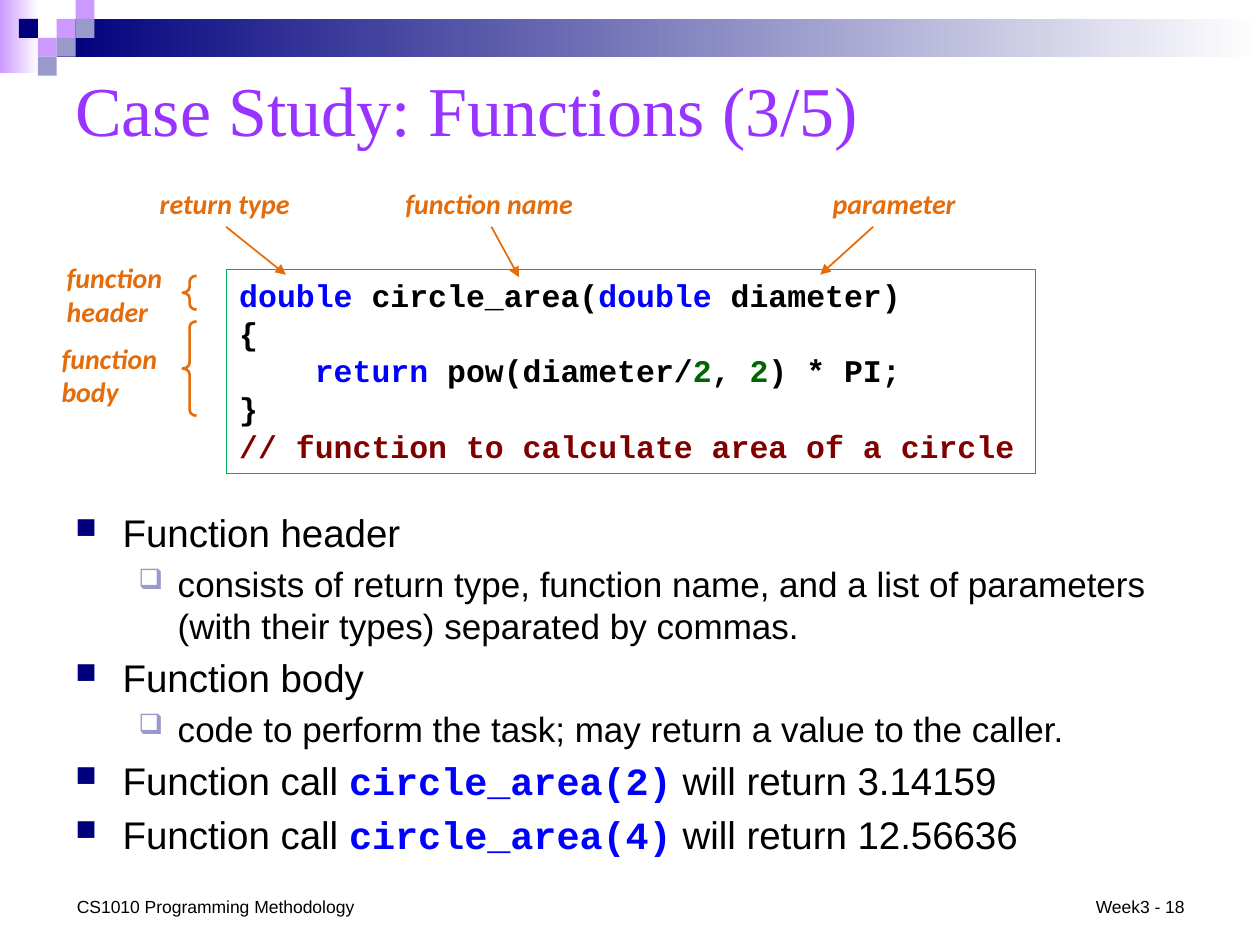
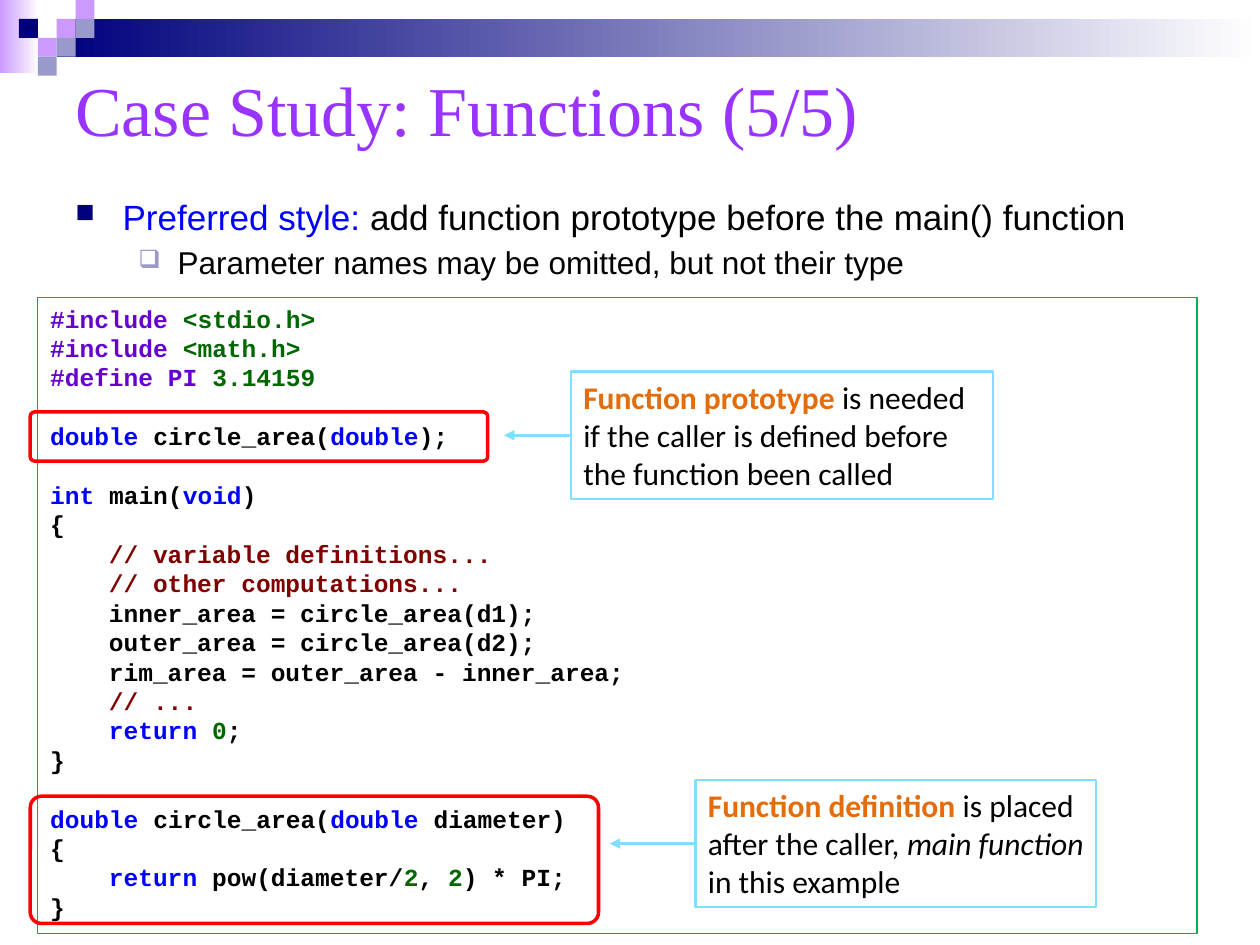
from lxml import etree
from pptx import Presentation
from pptx.dml.color import RGBColor
from pptx.enum import shapes, text
from pptx.oxml import ns
from pptx.util import Pt

BLACK = RGBColor(0x00, 0x00, 0x00)
WHITE = RGBColor(0xFF, 0xFF, 0xFF)
NAVY = RGBColor(0x00, 0x00, 0x7D)
LILAC = RGBColor(0xCC, 0x99, 0xFF)
PERIWINKLE = RGBColor(0x99, 0x99, 0xCC)
VIOLET = RGBColor(0x99, 0x33, 0xFF)
ORANGE = RGBColor(0xE4, 0x6C, 0x0A)
SKY = RGBColor(0x81, 0xDE, 0xFF)
RED = RGBColor(0xFF, 0x00, 0x00)
FRAME = RGBColor(0x00, 0xB0, 0x50)
KEYWORD = RGBColor(0x00, 0x00, 0xFF)
LITERAL = RGBColor(0x00, 0x66, 0x00)
COMMENT = RGBColor(0x80, 0x00, 0x00)
DIRECTIVE = RGBColor(0x66, 0x00, 0xCC)

SANS, SERIF, MONO, LABEL = "Arial", "Times New Roman", "Courier New", "Calibri"
LINE_FACTOR = 1.2
MONO_ADVANCE = 0.6
CELL = 10.8
SQUARES = [(3, 1, LILAC), (4, 0, LILAC), (4, 1, PERIWINKLE), (2, 2, LILAC),
           (1, 1, NAVY), (3, 2, PERIWINKLE), (2, 3, PERIWINKLE)]
BULLETS = [("■", NAVY, 75, 27, -27), ("❑", PERIWINKLE, 80, 58.5, -22.5)]

AREA_FUNCTION = [
    (0, [("double ", KEYWORD), ("circle_area(", BLACK), ("double ", KEYWORD), ("diameter)", BLACK)]),
    (0, [("{", BLACK)]),
    (1, [("return ", KEYWORD), ("pow(diameter/", BLACK), ("2", LITERAL), (", ", BLACK),
         ("2", LITERAL), (") * PI;", BLACK)]),
    (0, [("}", BLACK)]),
]
PROGRAM_BLOCKS = [
    [
        (0, [("#include ", DIRECTIVE), ("<stdio.h>", LITERAL)]),
        (0, [("#include ", DIRECTIVE), ("<math.h>", LITERAL)]),
        (0, [("#define PI ", DIRECTIVE), ("3.14159", LITERAL)]),
    ],
    [(0, [("double ", KEYWORD), ("circle_area(", BLACK), ("double", KEYWORD), (");", BLACK)])],
    [
        (0, [("int ", KEYWORD), ("main(", BLACK), ("void", KEYWORD), (")", BLACK)]),
        (0, [("{", BLACK)]),
        (1, [("// variable definitions...", COMMENT)]),
        (1, [("// other computations...", COMMENT)]),
        (1, [("inner_area = circle_area(d1);", BLACK)]),
        (1, [("outer_area = circle_area(d2);", BLACK)]),
        (1, [("rim_area = outer_area - inner_area;", BLACK)]),
        (1, [("// ...", COMMENT)]),
        (1, [("return ", KEYWORD), ("0", LITERAL), (";", BLACK)]),
        (0, [("}", BLACK)]),
    ],
    AREA_FUNCTION,
]


def pts(*values):
    return [Pt(v) for v in values]


def add_xml(parent, tag, **attrs):
    return etree.SubElement(parent, ns.qn(tag), attrs)


def add_runs(p, runs, size, font, bold=False, italic=False):
    for words, color, *style in runs:
        look = {"font": font, "bold": bold, "italic": italic, **(style[0] if style else {})}
        r = p.add_run()
        r.text = words
        r.font.size = Pt(size)
        r.font.name = look["font"]
        r.font.bold = look["bold"]
        r.font.italic = look["italic"]
        r.font.color.rgb = color


def add_frame(s, box, anchor=text.MSO_ANCHOR.TOP, wrap=True):
    sp = s.shapes.add_textbox(*pts(*box))
    tf = sp.text_frame
    tf.word_wrap = wrap
    tf.vertical_anchor = anchor
    return sp, tf


def next_paragraph(tf, index):
    return tf.add_paragraph() if index else tf.paragraphs[0]


def add_shape(s, kind, box, fill=None, line=None, width=1):
    sp = s.shapes.add_shape(kind, *pts(*box))
    sp.shadow.inherit = False
    if fill is None:
        sp.fill.background()
    else:
        sp.fill.solid()
        sp.fill.fore_color.rgb = fill
    if line is None:
        sp.line.fill.background()
    else:
        sp.line.color.rgb = line
        sp.line.width = Pt(width)
    return sp


def add_fade(s, box, color):
    sp = add_shape(s, shapes.MSO_SHAPE.RECTANGLE, box)
    sp.fill.gradient()
    sp.fill.gradient_angle = 0
    for stop, shade, position in zip(sp.fill.gradient_stops, (color, WHITE), (0, 1)):
        stop.color.rgb = shade
        stop.position = position


def add_arrow(s, start, end, color, width):
    c = s.shapes.add_connector(shapes.MSO_CONNECTOR.STRAIGHT, *pts(*start, *end))
    c.line.color.rgb = color
    c.line.width = Pt(width)
    add_xml(c.line._get_or_add_ln(), "a:tailEnd", type="triangle")
    add_xml(c._element.spPr, "a:effectLst")


def add_header(s, box, title):
    x, y, w, h = box
    add_fade(s, (x, y, 22.3, 41.8), LILAC)
    add_fade(s, (x + 3 * CELL, y + CELL, w - 3 * CELL, 2 * CELL), NAVY)
    for col, row, color in SQUARES:
        add_shape(s, shapes.MSO_SHAPE.RECTANGLE, (x + col * CELL, y + row * CELL, CELL, CELL), color)
    _, tf = add_frame(s, (x + 36, y + 30.2, w - 72, h - 30.2), text.MSO_ANCHOR.MIDDLE)
    add_runs(tf.paragraphs[0], [(title, VIOLET)], 40, SERIF)


def add_footer(s, box):
    x, y, w, h = box
    parts = [("CS1010 Programming Methodology", x, 174.2, text.PP_ALIGN.CENTER, True),
             ("Week3 - 18", x + w - 66.2, 66.2, text.PP_ALIGN.RIGHT, False)]
    for words, left, width, align, wrap in parts:
        _, tf = add_frame(s, (left, y, width, h), text.MSO_ANCHOR.BOTTOM, wrap)
        tf.paragraphs[0].alignment = align
        add_runs(tf.paragraphs[0], [(words, BLACK)], 10, SANS)


def add_bullets(s, box, items, sizes):
    _, tf = add_frame(s, box)
    for i, (level, runs) in enumerate(items):
        p = next_paragraph(tf, i)
        size = sizes[level]
        p.line_spacing = Pt(LINE_FACTOR * size)
        p.space_before = Pt(0.2 * size if i else 0)
        char, color, percent, margin, indent = BULLETS[level]
        ppr = p._p.get_or_add_pPr()
        ppr.set("marL", str(Pt(margin)))
        ppr.set("indent", str(Pt(indent)))
        add_xml(add_xml(ppr, "a:buClr"), "a:srgbClr", val=str(color))
        add_xml(ppr, "a:buSzPct", val=str(percent * 1000))
        add_xml(ppr, "a:buChar", char=char)
        add_runs(p, runs, size, SANS)


def add_code(s, box, blocks, size):
    sp, tf = add_frame(s, box)
    sp.fill.solid()
    sp.fill.fore_color.rgb = WHITE
    sp.line.color.rgb = FRAME
    sp.line.width = Pt(0.75)
    pitch = LINE_FACTOR * size
    for b, block in enumerate(blocks):
        for i, (depth, runs) in enumerate(block):
            p = next_paragraph(tf, b + i)
            p.line_spacing = Pt(pitch)
            p.space_before = Pt(pitch if b and not i else 0)
            p._p.get_or_add_pPr().set("marL", str(Pt(depth * 4 * MONO_ADVANCE * size)))
            add_runs(p, runs, size, MONO, bold=True)


def add_label(s, box, words):
    _, tf = add_frame(s, box)
    add_runs(tf.paragraphs[0], [(words, ORANGE)], 16, LABEL, bold=True, italic=True)


def add_term(s, box, words, start, end):
    x, y, w, h = box
    add_label(s, box, words)
    add_arrow(s, (x + start, y + h), (x + end[0], y + h + end[1]), ORANGE, 1)


def add_part(s, box, words, brace_top, brace_height):
    x, y, w, h = box
    add_label(s, box, words)
    brace = add_shape(s, shapes.MSO_SHAPE.LEFT_BRACE, (104.4, y + brace_top, 7.9, brace_height),
                      line=ORANGE, width=1.5)
    brace.adjustments[0] = 0.417


def add_note(s, box, runs, reach):
    x, y, w, h = box
    sp, tf = add_frame(s, box)
    sp.line.color.rgb = SKY
    sp.line.width = Pt(1.5)
    add_runs(tf.paragraphs[0], runs, 18, LABEL)
    add_arrow(s, (x, y + h / 2), (x - reach, y + h / 2), SKY, 1.5)


def add_highlight(s, box):
    sp = add_shape(s, shapes.MSO_SHAPE.ROUNDED_RECTANGLE, box, line=RED, width=2)
    sp.adjustments[0] = 0.088


def new_slide(prs, title):
    s = prs.slides.add_slide(prs.slide_layouts[6])
    add_header(s, (0, 0, 720, 93.6), title)
    return s


def build_anatomy(prs):
    s = new_slide(prs, "Case Study: Functions (3/5)")
    call = {"font": MONO, "bold": True}
    items = [
        (0, [("Function header", BLACK)]),
        (1, [("consists of return type, function name, and a list of parameters "
              "(with their types) separated by commas.", BLACK)]),
        (0, [("Function body", BLACK)]),
        (1, [("code to perform the task; may return a value to the caller.", BLACK)]),
    ]
    for argument, result in (("2", "3.14159"), ("4", "12.56636")):
        items.append((0, [("Function call ", BLACK), (f"circle_area({argument})", KEYWORD, call),
                          (f" will return {result}", BLACK)]))
    add_bullets(s, (36, 287.3, 648, 212.4), items, (22, 20))
    remark = (0, [("// function to calculate area of a circle", COMMENT)])
    add_code(s, (129.6, 154.1, 462.2, 116.6), [AREA_FUNCTION + [remark]], 18)
    add_term(s, (224.6, 103, 112.3, 26.6), "function name", 56.2, (72, 28.8))
    add_term(s, (84.2, 103, 90, 26.6), "return type", 45, (79.2, 27.4))
    add_term(s, (468.7, 103, 85.7, 26.6), "parameter", 30.2, (0, 27.4))
    add_part(s, (28.1, 191.5, 79.2, 46.1), "function body", -7.9, 54)
    add_part(s, (31, 145.4, 75.6, 46.1), "function header", 12.2, 19.4)
    add_footer(s, (36, 508.3, 648, 19.4))


def build_prototype(prs):
    s = new_slide(prs, "Case Study: Functions (5/5)")
    add_bullets(s, (36, 108, 648, 57.6), [
        (0, [("Preferred style: ", KEYWORD),
             ("add function prototype before the main() function", BLACK)]),
        (1, [("Parameter names may be omitted, but not their type", BLACK)]),
    ], (20, 18))
    add_code(s, (21.6, 169.9, 662.4, 363.6), PROGRAM_BLOCKS, 14)
    strong = {"bold": True}
    add_note(s, (397.4, 445.7, 229, 72.7), [
        ("Function definition ", ORANGE, strong), ("is placed after the caller, ", BLACK),
        ("main function", BLACK, {"italic": True}), (" in this example", BLACK)], 49)
    add_note(s, (326.2, 212.4, 241.2, 72.7), [
        ("Function prototype ", ORANGE, strong),
        ("is needed if the caller is defined before the function been called", BLACK)], 38.2)
    add_highlight(s, (17.3, 235.4, 261.4, 28.1))
    add_highlight(s, (17.3, 455, 324.7, 72.7))


def main():
    prs = Presentation()
    prs.slide_width, prs.slide_height = pts(720, 540)
    build_anatomy(prs)
    build_prototype(prs)
    prs.save("out.pptx")


if __name__ == "__main__":
    main()
